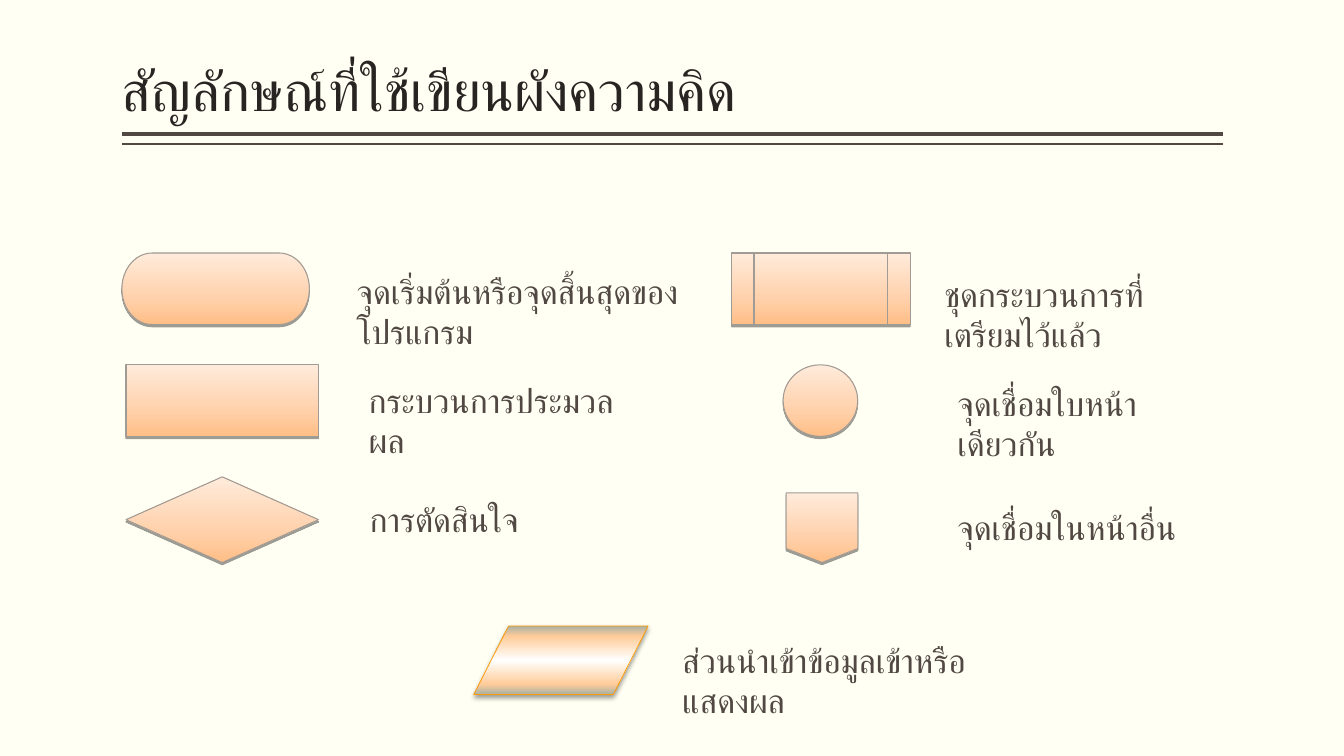
"""Build a slide explaining the symbols used in flowcharts."""
from lxml import etree
from pptx import Presentation
from pptx import util as u
from pptx.dml.color import RGBColor
from pptx.enum import lang, shapes, text
from pptx.oxml.ns import qn

COLORS = {
    "background": "FFFFF3", "title": "282422", "body": "514843",
    "outline": "A09B95", "data_outline": "FF9900", "shadow": "000000",
}
FONT = "Calibri"
TITLE = "สัญลักษณ์ที่ใช้เขียนผังความคิด"
TITLE_BOX = (87.1, 5.8, 786.2, 86.4)
RULES = [(95.8, 3), (103, 1)]
LABEL_HEIGHT = 36

PEACH = {
    "stops": [(0, "FFBE86"), (35, "FFD0AA"), (100, "FFEBDB")],
    "outline": "outline", "weight": 0.75, "blur": 0, "distance": 1.6,
}
DATA = {
    "stops": [(0, "A8B1A5"), (15, "FFCC99"), (50, "FFFFFF"),
              (85, "FFCC99"), (100, "A8B1A5")],
    "outline": "data_outline", "weight": 0.5, "blur": 3.5, "distance": 2,
}
KIND = shapes.MSO_SHAPE
SYMBOLS = [
    (KIND.FLOWCHART_TERMINATOR, (87.1, 180.7, 133.9, 51.1), PEACH,
     "จุดเริ่มต้นหรือจุดสิ้นสุดของโปรแกรม", (247.7, 190.1, 304.6)),
    (KIND.RECTANGLE, (90, 260.6, 137.5, 51.1), PEACH,
     "กระบวนการประมวลผล", (256.3, 267.8, 205.2)),
    (KIND.FLOWCHART_DECISION, (90, 340.6, 137.5, 61.2), PEACH,
     "การตัดสินใจ", (257, 352.8, 205.2)),
    (KIND.FLOWCHART_PREDEFINED_PROCESS, (522.7, 180.7, 127.4, 51.1), PEACH,
     "ชุดกระบวนการที่เตรียมไว้แล้ว", (667.4, 192.2, 205.2)),
    (KIND.FLOWCHART_CONNECTOR, (559.4, 260.6, 53.3, 51.1), PEACH,
     "จุดเชื่อมใบหน้าเดียวกัน", (676.8, 270, 205.2)),
    (KIND.FLOWCHART_OFFPAGE_CONNECTOR, (561.6, 352.1, 51.1, 49.7), PEACH,
     "จุดเชื่อมในหน้าอื่น", (676.8, 358.6, 205.2)),
    (KIND.FLOWCHART_DATA, (338.4, 447.1, 124.6, 49), DATA,
     "ส่วนนำเข้าข้อมูลเข้าหรือแสดงผล", (480.2, 453.6, 236.2)),
]
TITLE_FRAME = {
    "word_wrap": True, "vertical_anchor": text.MSO_ANCHOR.BOTTOM,
    "margin_left": 0, "margin_right": 0,
}
LABEL_FRAME = {"word_wrap": True, "auto_size": text.MSO_AUTO_SIZE.SHAPE_TO_FIT_TEXT}


def points(values):
    return [u.Pt(value) for value in values]


def color(name):
    return RGBColor.from_string(COLORS[name])


def add_text(slide, content, box, size, color_name, frame_format, line_spacing=None):
    frame = slide.shapes.add_textbox(*points(box)).text_frame
    for name, value in frame_format.items():
        setattr(frame, name, value)
    paragraph = frame.paragraphs[0]
    paragraph.line_spacing = line_spacing
    run = paragraph.add_run()
    run.text = content
    font_format = {"size": u.Pt(size), "name": FONT, "language_id": lang.MSO_LANGUAGE_ID.THAI}
    for name, value in font_format.items():
        setattr(run.font, name, value)
    run.font.color.rgb = color(color_name)
    etree.SubElement(run._r.get_or_add_rPr(), qn("a:cs"), typeface=FONT)


def add_rule(slide, top, weight):
    left, width = TITLE_BOX[0], TITLE_BOX[2]
    ends = points((left + width, top, left, top))
    rule = slide.shapes.add_connector(shapes.MSO_CONNECTOR.STRAIGHT, *ends)
    rule.line.color.rgb = color("body")
    rule.line.width = u.Pt(weight)
    etree.SubElement(rule._element.spPr, qn("a:effectLst"))


def add_color(parent, value):
    return etree.SubElement(parent, qn("a:srgbClr"), val=value)


def add_symbol(slide, kind, box, style):
    shape = slide.shapes.add_shape(kind, *points(box))
    shape.fill.gradient()
    shape.fill.gradient_angle = 90
    properties = shape._element.spPr
    stops = properties.find(qn("a:gradFill")).find(qn("a:gsLst"))
    stops.clear()
    for position, value in style["stops"]:
        add_color(etree.SubElement(stops, qn("a:gs"), pos=str(position * 1000)), value)
    shape.line.color.rgb = color(style["outline"])
    shape.line.width = u.Pt(style["weight"])
    shape.shadow.inherit = False
    shadow = etree.SubElement(
        properties.find(qn("a:effectLst")), qn("a:outerShdw"),
        blurRad=str(u.Pt(style["blur"])), dist=str(u.Pt(style["distance"])),
        dir="5400000", rotWithShape="0")
    etree.SubElement(add_color(shadow, COLORS["shadow"]), qn("a:alpha"), val="38000")


def main():
    presentation = Presentation()
    presentation.slide_width, presentation.slide_height = points((960, 540))
    slide = presentation.slides.add_slide(presentation.slide_layouts[6])
    slide.background.fill.solid()
    slide.background.fill.fore_color.rgb = color("background")
    for top, weight in RULES:
        add_rule(slide, top, weight)
    add_text(slide, TITLE, TITLE_BOX, 40, "title", TITLE_FRAME, 0.9)
    for kind, box, style, label, label_box in SYMBOLS:
        add_symbol(slide, kind, box, style)
        add_text(slide, label, (*label_box, LABEL_HEIGHT), 24, "body", LABEL_FRAME)
    presentation.save("out.pptx")


if __name__ == "__main__":
    main()
